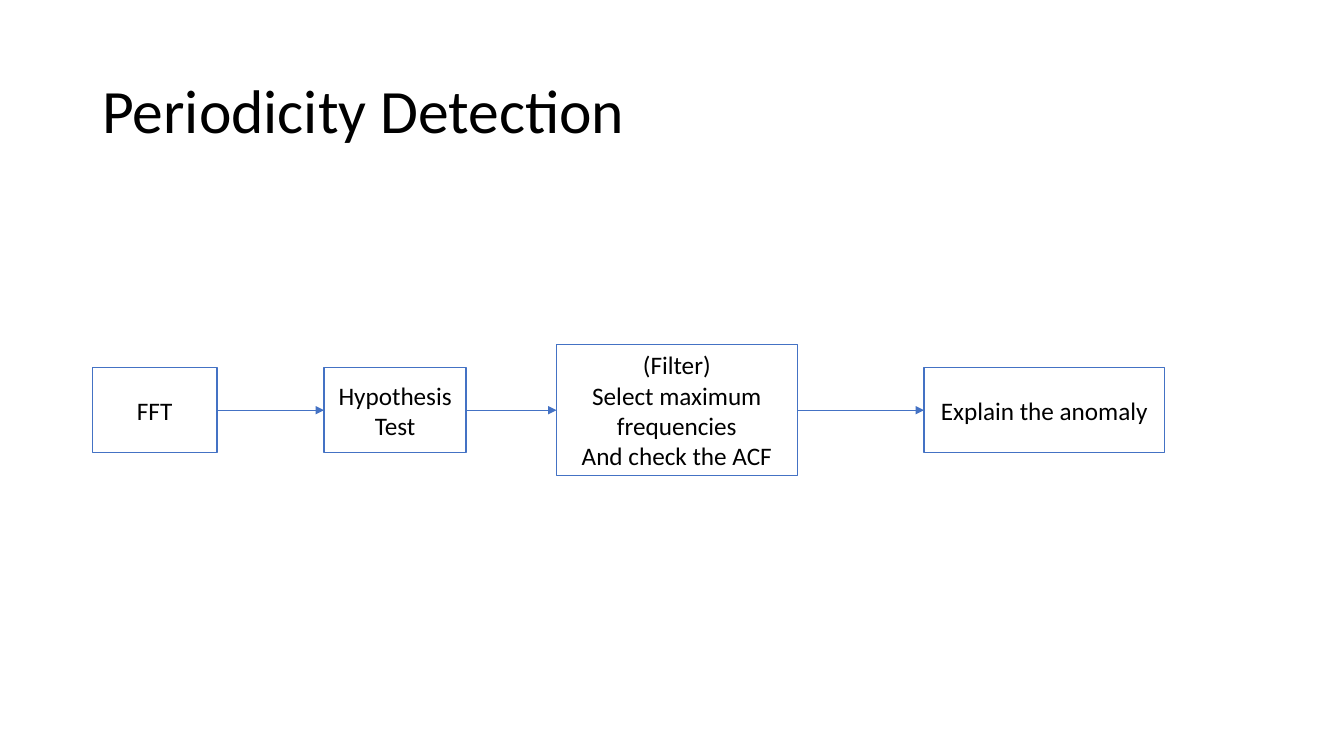
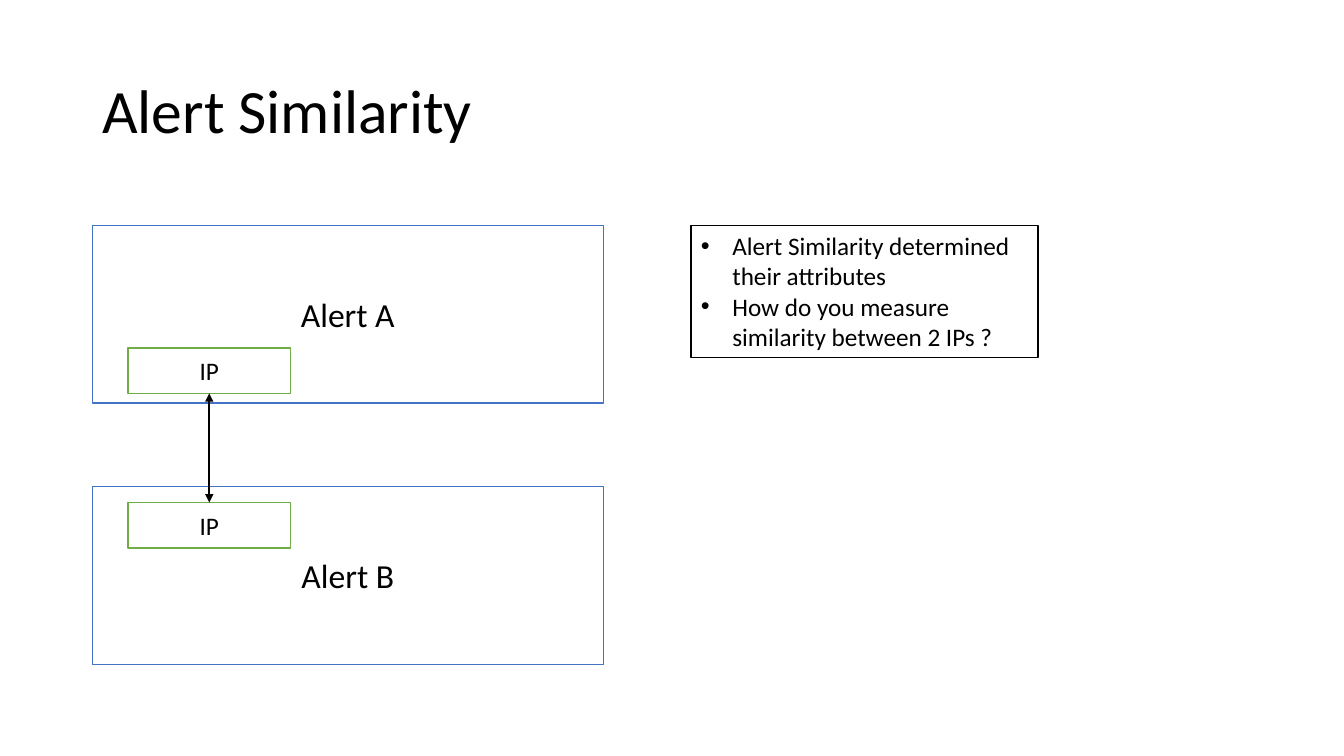
from dataclasses import dataclass

import pptx
import pptx.util
import pptx.dml.color
import pptx.enum.shapes
import pptx.enum.text
import pptx.oxml.ns
from lxml import etree

Pt = pptx.util.Pt
ALIGN = pptx.enum.text.PP_ALIGN
ANCHOR = pptx.enum.text.MSO_ANCHOR

FONT = "Calibri"
COLORS = {"text": "000000", "paper": "FFFFFF", "blue": "4472C4", "green": "70AD47"}
LEFT = 66
TOP, LEFT_SIDE, BOTTOM, RIGHT_SIDE = range(4)  # connection sites of a rectangle


@dataclass
class Step:
    x: float
    w: float
    h: float
    text: str


@dataclass
class Alert:
    text: str
    y: float
    ip_y: float


STEPS = [
    Step(LEFT, 89, 60.5, "FFT"),
    Step(231.5, 101.5, 60.5, "Hypothesis Test"),
    Step(397.5, 172, 93.5, "(Filter)\nSelect maximum frequencies\nAnd check the ACF"),
    Step(660, 172, 60.5, "Explain the anomaly"),
]
STEP_MIDDLE = 293

ALERTS = [Alert("Alert A", 161, 248.5), Alert("Alert B", 347.5, 359)]
QUESTIONS = "Alert Similarity determined their attributes\nHow do you measure similarity between 2 IPs ?"


def rgb(name: str) -> pptx.dml.color.RGBColor:
    return pptx.dml.color.RGBColor.from_string(COLORS[name])


def add_xml(parent, tag: str, **attrs: str) -> None:
    etree.SubElement(parent, pptx.oxml.ns.qn(tag), attrs)


def set_text(sp, text: str, *, size: float = 18, align=ALIGN.CENTER, anchor=ANCHOR.MIDDLE,
             spacing: float = 1.0, bullet_indent: float = 0) -> None:
    """Write one paragraph per line of text, all in the same format."""
    tf = sp.text_frame
    tf.word_wrap = True
    tf.vertical_anchor = anchor
    for i, line in enumerate(text.split("\n")):
        p = tf.add_paragraph() if i else tf.paragraphs[0]
        p.alignment = align
        p.line_spacing = spacing
        r = p.add_run()
        r.text = line
        r.font.name = FONT
        r.font.size = Pt(size)
        r.font.color.rgb = rgb("text")
        if bullet_indent:
            pPr = p._p.get_or_add_pPr()
            pPr.set("marL", str(Pt(bullet_indent)))
            pPr.set("indent", str(-Pt(bullet_indent)))
            add_xml(pPr, "a:buFont", typeface="Arial")
            add_xml(pPr, "a:buChar", char="•")


def add_box(s, x: float, y: float, w: float, h: float, text: str, line: str = "blue", **fmt):
    sp = s.shapes.add_shape(pptx.enum.shapes.MSO_SHAPE.RECTANGLE, Pt(x), Pt(y), Pt(w), Pt(h))
    sp.shadow.inherit = False
    sp.fill.solid()
    sp.fill.fore_color.rgb = rgb("paper")
    sp.line.color.rgb = rgb(line)
    sp.line.width = Pt(1)
    set_text(sp, text, **fmt)
    return sp


def add_arrow(s, start, start_site: int, end, end_site: int, *, color: str = "blue",
              width: float = 0.5, both_ends: bool = False) -> None:
    """Join two boxes at the given connection sites."""
    cx = s.shapes.add_connector(pptx.enum.shapes.MSO_CONNECTOR.STRAIGHT, 0, 0, 0, 0)
    cx.begin_connect(start, start_site)
    cx.end_connect(end, end_site)
    cx.line.color.rgb = rgb(color)
    cx.line.width = Pt(width)
    ln = cx.line._get_or_add_ln()
    if both_ends:
        add_xml(ln, "a:headEnd", type="triangle")
    add_xml(ln, "a:tailEnd", type="triangle")
    add_xml(cx._element.spPr, "a:effectLst")


def add_slide(prs, title: str):
    s = prs.slides.add_slide(prs.slide_layouts[6])
    sp = s.shapes.add_textbox(Pt(LEFT), Pt(29), Pt(828), Pt(104.5))
    set_text(sp, title, size=44, align=ALIGN.LEFT, spacing=0.9)
    return s


def build_periodicity(prs) -> None:
    s = add_slide(prs, "Periodicity Detection")
    boxes = [add_box(s, st.x, STEP_MIDDLE - st.h / 2, st.w, st.h, st.text) for st in STEPS]
    for start, end in zip(boxes, boxes[1:]):
        add_arrow(s, start, RIGHT_SIDE, end, LEFT_SIDE)


def build_similarity(prs) -> None:
    s = add_slide(prs, "Alert Similarity")
    ips = []
    for alert in ALERTS:
        add_box(s, LEFT, alert.y, 365, 127, alert.text, size=24)
        ips.append(add_box(s, 91.5, alert.ip_y, 116, 32.5, "IP", line="green"))
    add_arrow(s, ips[0], BOTTOM, ips[1], TOP, color="text", width=1.5, both_ends=True)
    add_box(s, 493.5, ALERTS[0].y, 248, 94.5, QUESTIONS, line="text",
            align=ALIGN.LEFT, anchor=ANCHOR.TOP, bullet_indent=22.5)


def main() -> None:
    prs = pptx.Presentation()
    prs.slide_width, prs.slide_height = Pt(960), Pt(540)
    build_periodicity(prs)
    build_similarity(prs)
    prs.save("out.pptx")


if __name__ == "__main__":
    main()
